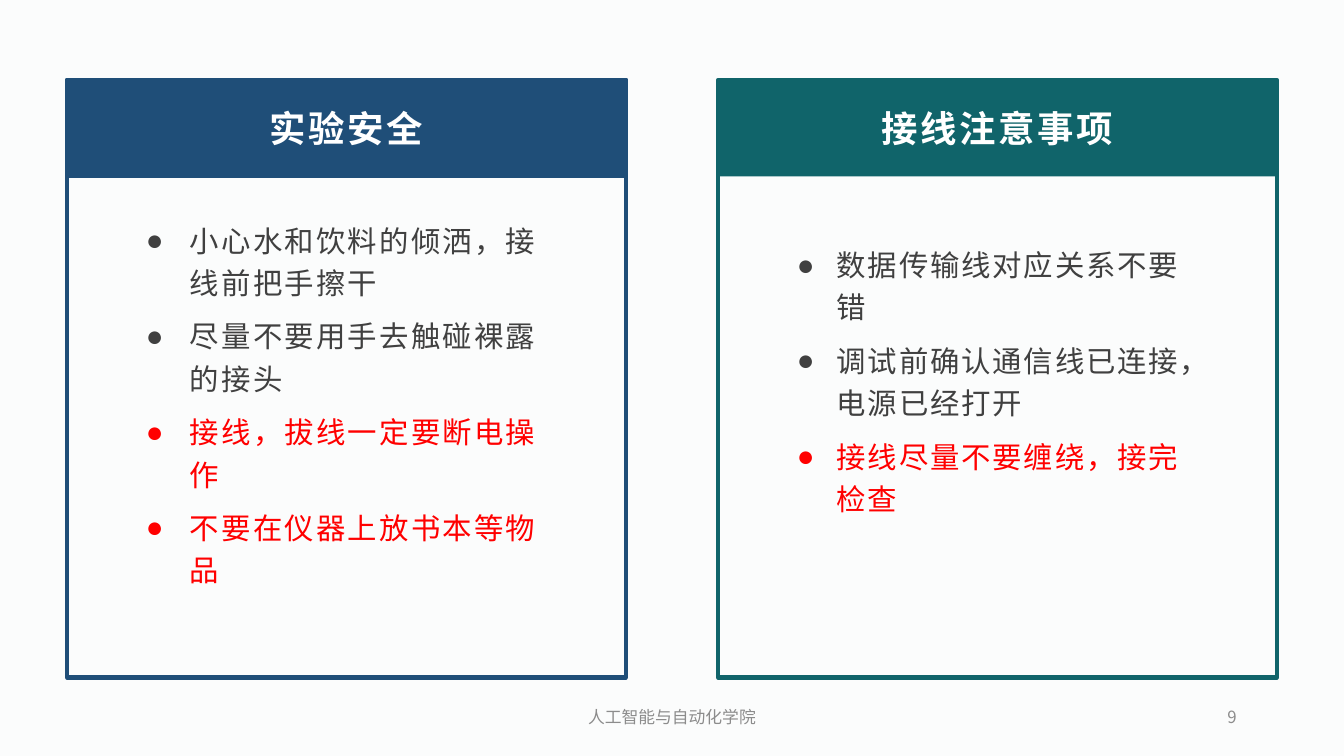
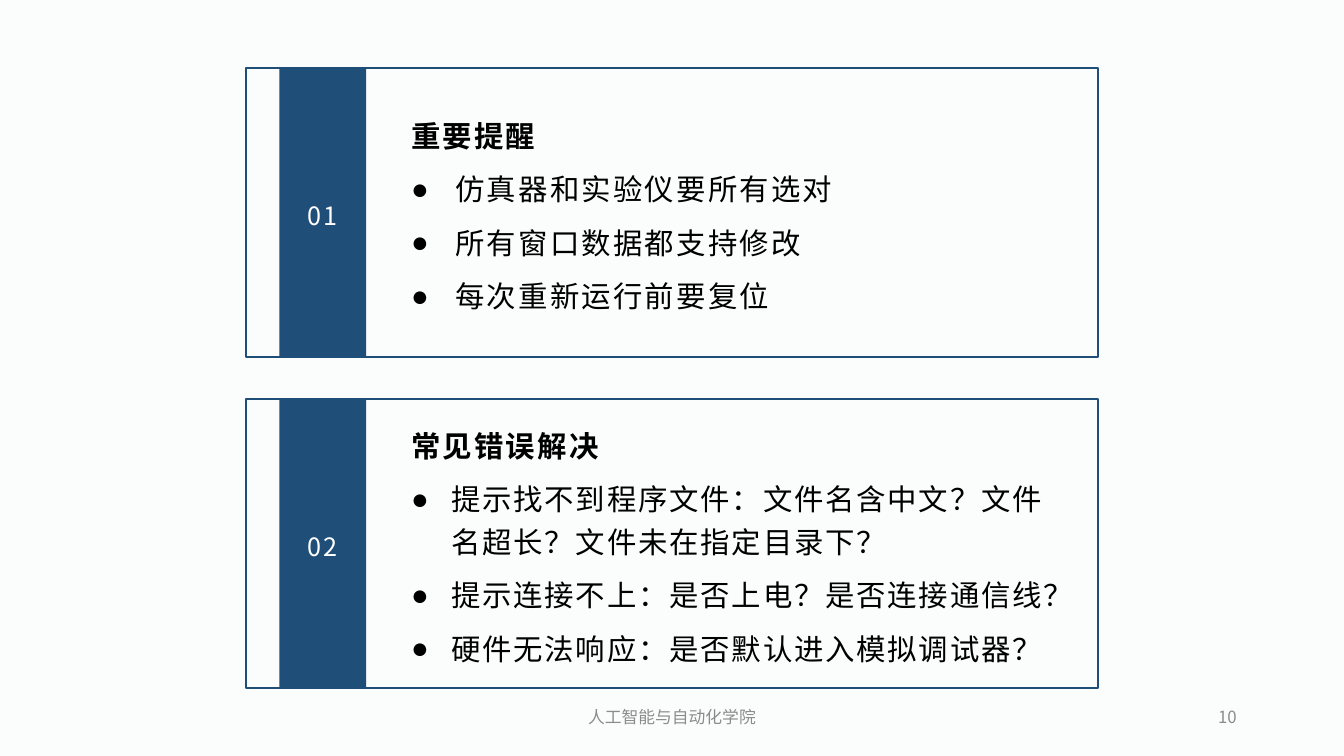
from dataclasses import dataclass

import lxml.etree
import pptx
import pptx.dml.color
import pptx.enum.shapes
import pptx.enum.text
import pptx.oxml.ns
import pptx.util

Pt = pptx.util.Pt
Align = pptx.enum.text.PP_ALIGN
Anchor = pptx.enum.text.MSO_ANCHOR
qn = pptx.oxml.ns.qn

# Shared look
FONT = "Noto Sans CJK SC"
BACKGROUND, BLUE, TEAL = "FBFCFC", "1F4E78", "10646A"
WHITE, BLACK, DARK, RED, GRAY = "FFFFFF", "000000", "404040", "FF0000", "8C8C8C"
SLIDE_W, SLIDE_H = 960, 540
FOOTER = "人工智能与自动化学院"


@dataclass
class Box:
    x: float
    y: float
    w: float
    h: float


@dataclass
class Style:
    size: float
    color: str
    bold: bool = False
    spacing: float = 0
    align: Align = Align.LEFT
    line: float = 1.0
    after: float = 0
    indent: float = 0


@dataclass
class Panel:
    heading: str
    color: str
    band_line: float
    body_top: float
    indent: float
    spacing: float
    items: list[str]
    warnings: list[str]


@dataclass
class Card:
    number: str
    heading: str
    indent: float
    spacing: float
    items: list[str]


PANELS = [
    Panel("实验安全", BLUE, 3, 150.5, 31.5, 1.6,
          ["小心水和饮料的倾洒，接线前把手擦干", "尽量不要用手去触碰裸露的接头"],
          ["接线，拔线一定要断电操作", "不要在仪器上放书本等物品"]),
    Panel("接线注意事项", TEAL, 0, 168, 28.5, 1.3,
          ["数据传输线对应关系不要错", "调试前确认通信线已连接，电源已经打开"],
          ["接线尽量不要缠绕，接完检查"]),
]
CARDS = [
    Card("01", "重要提醒", 31.5, 1.6,
         ["仿真器和实验仪要所有选对", "所有窗口数据都支持修改", "每次重新运行前要复位"]),
    Card("02", "常见错误解决", 28.5, 1.3,
         ["提示找不到程序文件：文件名含中文？文件名超长？文件未在指定目录下？",
          "提示连接不上：是否上电？是否连接通信线？",
          "硬件无法响应：是否默认进入模拟调试器？"]),
]


def rgb(color: str) -> pptx.dml.color.RGBColor:
    return pptx.dml.color.RGBColor.from_string(color)


def place(sp, box: Box) -> None:
    sp.left, sp.top, sp.width, sp.height = Pt(box.x), Pt(box.y), Pt(box.w), Pt(box.h)


def paint(sp, fill: str | None, line: str | None, width: float = 0) -> None:
    if fill:
        sp.fill.solid()
        sp.fill.fore_color.rgb = rgb(fill)
    else:
        sp.fill.background()
    if line and width:
        sp.line.color.rgb = rgb(line)
        sp.line.width = Pt(width)
    else:
        sp.line.fill.background()


def add_rect(slide, box: Box, fill: str | None, line: str | None = None, width: float = 0):
    sp = slide.shapes.add_shape(pptx.enum.shapes.MSO_SHAPE.RECTANGLE,
                                Pt(box.x), Pt(box.y), Pt(box.w), Pt(box.h))
    sp.shadow.inherit = False
    paint(sp, fill, line, width)
    return sp


def set_bullet(p, indent: float) -> None:
    pPr = p._p.get_or_add_pPr()
    pPr.set("marL", str(int(Pt(indent))))
    pPr.set("indent", str(-int(Pt(indent))))
    if indent:
        lxml.etree.SubElement(pPr, qn("a:buChar")).set("char", "●")
    else:
        lxml.etree.SubElement(pPr, qn("a:buNone"))


def write(sp, lines: list[tuple[str, Style]], anchor: Anchor = Anchor.MIDDLE) -> None:
    tf = sp.text_frame
    tf.word_wrap = True
    tf.auto_size = pptx.enum.text.MSO_AUTO_SIZE.NONE
    tf.vertical_anchor = anchor
    tf.text = "\n".join(text for text, _ in lines)
    for p, (_, style) in zip(tf.paragraphs, lines):
        set_bullet(p, style.indent)
        p.alignment = style.align
        p.line_spacing = style.line
        p.space_before, p.space_after = Pt(0), Pt(style.after)
        r = p.runs[0]
        r.font.size, r.font.bold, r.font.name = Pt(style.size), style.bold, FONT
        r.font.color.rgb = rgb(style.color)
        rPr = r._r.get_or_add_rPr()
        rPr.set("spc", str(round(style.spacing * 100)))
        ea = lxml.etree.Element(qn("a:ea"))
        ea.set("typeface", FONT)
        rPr.find(qn("a:latin")).addnext(ea)


def list_style(color: str, spacing: float, indent: float = 0, bold: bool = False) -> Style:
    return Style(21, color, bold, spacing, line=1.2, after=8, indent=indent)


def add_slide(prs, layout: int, number: int):
    slide = prs.slides.add_slide(prs.slide_layouts[layout])
    title = slide.shapes.title.element
    title.getparent().remove(title)
    # Footer and page number
    for text, x, w, align in ((FOOTER, 324, 312, Align.CENTER),
                              (str(number), 678, 212.5, Align.RIGHT)):
        sp = slide.shapes.add_textbox(Pt(x), Pt(499.5), Pt(w), Pt(25))
        write(sp, [(text, Style(12, GRAY, align=align))])
    return slide


def draw_panel(slide, panel: Panel, x: float, header, body) -> None:
    top, width = 57, 399
    # Heading band
    place(header, Box(x, top, width, 69))
    paint(header, panel.color, panel.color, panel.band_line)
    write(header, [(panel.heading, Style(26, WHITE, True, 1.8, Align.CENTER))])
    # Bulleted list
    place(body, Box(x + 49, panel.body_top, 301, 300))
    normal, warning = (list_style(c, panel.spacing, panel.indent) for c in (DARK, RED))
    write(body, [(t, normal) for t in panel.items] + [(t, warning) for t in panel.warnings],
          Anchor.TOP)
    # Frame
    add_rect(slide, Box(x, top, width, 427), None, panel.color, 3)


def draw_card(slide, card: Card, y: float, body) -> None:
    height = 206.5
    # Frame
    add_rect(slide, Box(176, y, 608, height), None, BLUE, 1.5)
    # Heading and list
    place(body, Box(286.5, y, 472.5, height))
    item = list_style(BLACK, card.spacing, card.indent)
    write(body, [(card.heading, list_style(BLACK, 1.6, bold=True))]
          + [(t, item) for t in card.items])
    # Number strip
    sp = add_rect(slide, Box(199.5, y, 62, height), BLUE)
    write(sp, [(card.number, Style(18, WHITE, spacing=1.5, align=Align.CENTER, line=1.2))])


def main() -> None:
    prs = pptx.Presentation()
    prs.slide_width, prs.slide_height = Pt(SLIDE_W), Pt(SLIDE_H)
    fill = prs.slide_master.background.fill
    fill.solid()
    fill.fore_color.rgb = rgb(BACKGROUND)

    # Safety and wiring: comparison layout
    slide = add_slide(prs, 4, 9)
    ph = slide.placeholders
    for i, panel in enumerate(PANELS):
        draw_panel(slide, panel, 48 + 465 * i, ph[2 * i + 1], ph[2 * i + 2])

    # Reminders and common errors: two-content layout
    slide = add_slide(prs, 3, 10)
    for i, card in enumerate(CARDS):
        draw_card(slide, card, 48.5 + 236.5 * i, slide.placeholders[i + 1])

    prs.save("out.pptx")


if __name__ == "__main__":
    main()
